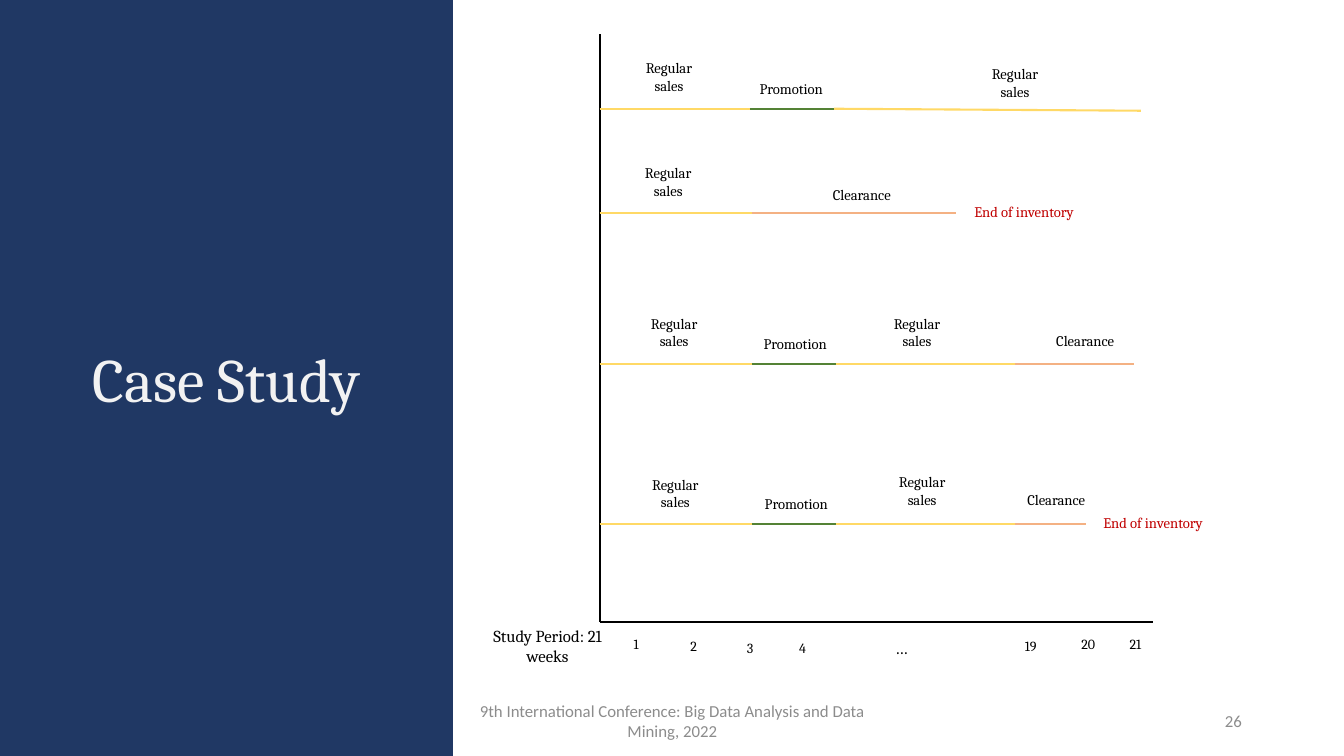
"""Build the case study slide with four sales timelines over 21 weeks."""
from lxml import etree
from pptx import Presentation
from pptx import util as u
from pptx.dml.color import RGBColor
from pptx.enum import shapes, text
from pptx.oxml import ns

NAVY = RGBColor(0x20, 0x38, 0x64)
OFF_WHITE = RGBColor(0xF2, 0xF2, 0xF2)
BLACK = RGBColor(0x00, 0x00, 0x00)
GREY = RGBColor(0x8C, 0x8C, 0x8C)
YELLOW = RGBColor(0xFF, 0xD9, 0x66)
GREEN = RGBColor(0x54, 0x82, 0x35)
ORANGE = RGBColor(0xF4, 0xB1, 0x83)
RED = RGBColor(0xC0, 0x00, 0x00)

AXIS_LEFT, AXIS_TOP, AXIS_RIGHT, AXIS_BOTTOM = 15.11, 0.86, 29.06, 15.67
LABEL_WIDTH = 3.3

PHASES = {
    "regular": ("Regular\nsales", YELLOW, 1.19),
    "promotion": ("Promotion", GREEN, 0.74),
    "clearance": ("Clearance", ORANGE, 0.74),
}

# Each timeline: line height, then (phase, line end, end height, label left, label top).
TIMELINES = [
    (2.74, [("regular", 18.9, 2.74, 15.21, 1.37),
            ("promotion", 21.02, 2.74, 18.29, 1.88),
            ("regular", 28.75, 2.79, 23.93, 1.52)]),
    (5.36, [("regular", 18.95, 5.36, 15.19, 4.01),
            ("clearance", 24.08, 5.36, 20.07, 4.55)]),
    (9.17, [("regular", 18.95, 9.17, 15.34, 7.8),
            ("promotion", 21.08, 9.17, 18.39, 8.31),
            ("regular", 25.58, 9.17, 21.46, 7.8),
            ("clearance", 28.58, 9.17, 25.7, 8.23)]),
    (13.21, [("regular", 18.95, 13.21, 15.37, 11.86),
             ("promotion", 21.08, 13.21, 18.42, 12.34),
             ("regular", 25.58, 13.21, 21.59, 11.79),
             ("clearance", 27.36, 13.21, 24.97, 12.24)]),
]
INVENTORY_ENDS = [(24.16, 4.98), (27.41, 12.83)]
WEEKS = [("1", 15.72, 15.88), ("2", 17.15, 15.93), ("3", 18.57, 16.0),
         ("4", 19.89, 15.98), ("19", 25.58, 15.95), ("20", 27.0, 15.9),
         ("21", 28.22, 15.9)]


def write_text(shape, content, size=10.5, font="Cambria", color=BLACK,
               align=text.PP_ALIGN.CENTER, anchor=text.MSO_ANCHOR.TOP,
               wrap=True, grow=False):
    """Fill a shape with text in one format."""
    frame = shape.text_frame
    frame.text = content
    frame.word_wrap = wrap
    frame.vertical_anchor = anchor
    frame.auto_size = (text.MSO_AUTO_SIZE.SHAPE_TO_FIT_TEXT if grow
                       else text.MSO_AUTO_SIZE.NONE)
    for paragraph in frame.paragraphs:
        paragraph.alignment = align
        paragraph.font.size = u.Pt(size)
        paragraph.font.name = font
        paragraph.font.color.rgb = color


def add_label(slide, content, left, top, width, height, **text_format):
    """Add a text box measured in centimetres."""
    box = slide.shapes.add_textbox(u.Cm(left), u.Cm(top), u.Cm(width), u.Cm(height))
    write_text(box, content, **text_format)


def add_line(slide, start, end, color):
    """Add a straight line between two points in centimetres."""
    line = slide.shapes.add_connector(
        shapes.MSO_CONNECTOR.STRAIGHT, *map(u.Cm, start + end))
    line.line.color.rgb = color
    line.line.width = u.Pt(1.5)
    etree.SubElement(line._element.spPr, ns.qn("a:effectLst"))


def format_title(slide):
    """Turn the title placeholder into the navy side panel."""
    title = slide.shapes.title
    title.left, title.top = u.Cm(0), u.Cm(0)
    title.width, title.height = u.Cm(11.4), u.Cm(19.05)
    title.fill.solid()
    title.fill.fore_color.rgb = NAVY
    title.line.color.rgb = NAVY
    title.line.width = u.Pt(1)
    write_text(title, "Case Study", size=44, color=OFF_WHITE,
               anchor=text.MSO_ANCHOR.MIDDLE)


def add_axes(slide):
    """Draw both axes with the week labels."""
    origin = (AXIS_LEFT, AXIS_BOTTOM)
    add_line(slide, origin, (AXIS_RIGHT, AXIS_BOTTOM), BLACK)
    add_line(slide, (AXIS_LEFT, AXIS_TOP), origin, BLACK)
    add_label(slide, "Study Period: 21 weeks", 12.14, 15.65, 3.32, 1.27,
              size=12, grow=True)
    for week, left, top in WEEKS:
        add_label(slide, week, left, top, 0.4 + 0.26 * len(week), 0.69, size=10,
                  align=text.PP_ALIGN.LEFT, wrap=False, grow=True)
    add_label(slide, "…", 20.6, 15.95, 4.24, 0.76, size=12, grow=True)


def add_timeline(slide, height, segments):
    """Draw one timeline as a chain of labelled phases."""
    start = (AXIS_LEFT, height)
    for phase, end_left, end_top, label_left, label_top in segments:
        name, color, label_height = PHASES[phase]
        end = (end_left, end_top)
        add_line(slide, start, end, color)
        add_label(slide, name, label_left, label_top, LABEL_WIDTH, label_height,
                  grow=True)
        start = end


def add_footer(slide):
    """Add the conference name and the slide number."""
    footer_format = {"size": 12, "font": "Calibri", "color": GREY,
                     "anchor": text.MSO_ANCHOR.MIDDLE}
    add_label(slide, "9th International Conference: Big Data Analysis and Data Mining, 2022",
              11.23, 17.65, 11.43, 1.02, **footer_format)
    add_label(slide, "26", 23.93, 17.65, 7.62, 1.02,
              align=text.PP_ALIGN.RIGHT, **footer_format)


def main():
    """Build and save the presentation."""
    presentation = Presentation()
    presentation.slide_width, presentation.slide_height = u.Cm(33.87), u.Cm(19.05)
    slide = presentation.slides.add_slide(presentation.slide_layouts[5])
    format_title(slide)
    add_axes(slide)
    for height, segments in TIMELINES:
        add_timeline(slide, height, segments)
    for left, top in INVENTORY_ENDS:
        add_label(slide, "End of inventory", left, top, LABEL_WIDTH, 0.74,
                  color=RED, grow=True)
    add_footer(slide)
    presentation.save("out.pptx")


if __name__ == "__main__":
    main()
